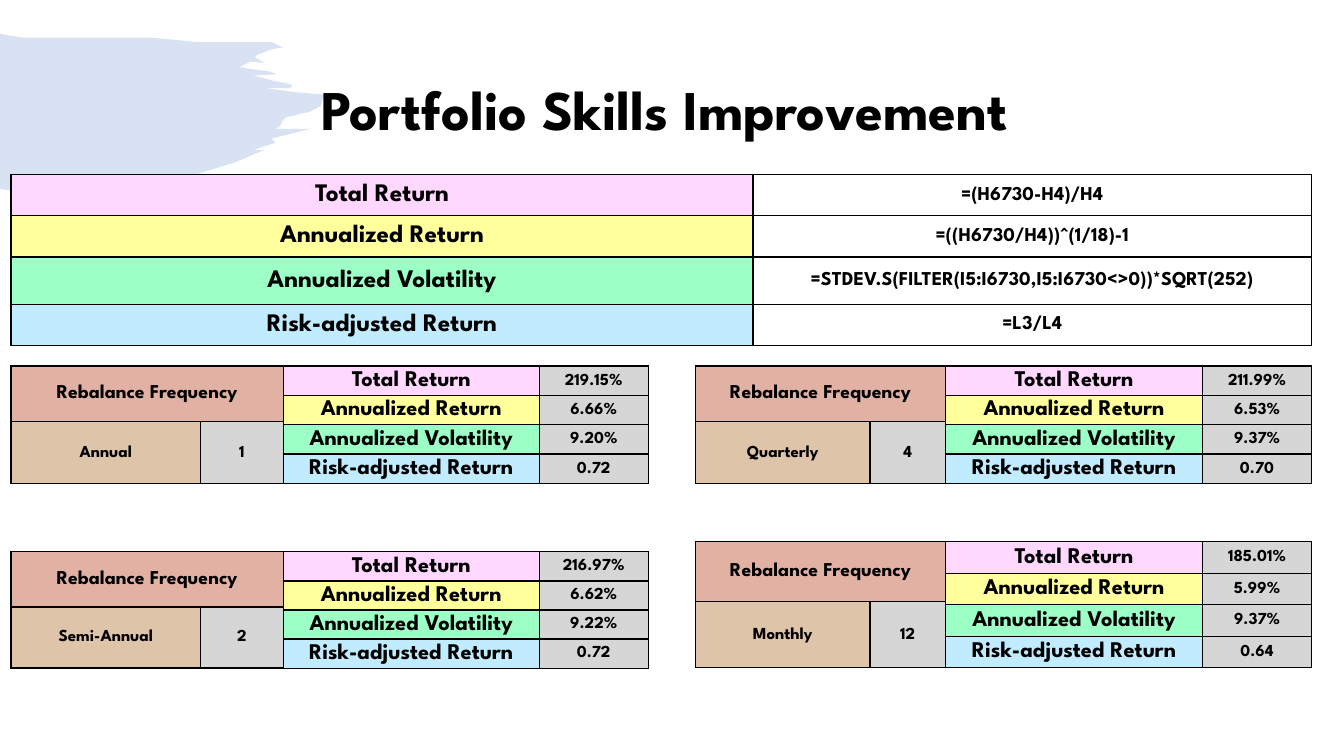
from lxml.etree import SubElement
from pptx import Presentation
from pptx.dml.color import RGBColor
from pptx.enum.text import MSO_ANCHOR, PP_ALIGN
from pptx.oxml import parse_xml
from pptx.oxml.ns import nsdecls, qn
from pptx.util import Pt

FONT = "League Spartan"
BLACK = RGBColor(0x00, 0x00, 0x00)
BLUE = RGBColor(0x44, 0x72, 0xC4)
PINK = RGBColor(0xFF, 0xD7, 0xFF)
YELLOW = RGBColor(0xFF, 0xFF, 0x9C)
GREEN = RGBColor(0x9C, 0xFF, 0xC5)
SKY = RGBColor(0xC1, 0xEC, 0xFF)
CLAY = RGBColor(0xE1, 0xB2, 0xA4)
SAND = RGBColor(0xDE, 0xC5, 0xAA)
GREY = RGBColor(0xD6, 0xD6, 0xD6)

METRICS = [
    ("Total Return", PINK),
    ("Annualized Return", YELLOW),
    ("Annualized Volatility", GREEN),
    ("Risk-adjusted Return", SKY),
]
FORMULAS = [
    "=(H6730-H4)/H4",
    "=((H6730/H4))^(1/18)-1",
    "=STDEV.S(FILTER(I5:I6730,I5:I6730<>0))*SQRT(252)",
    "=L3/L4",
]
LEFT_COLS = (7.9, 135.4, 59, 182.9, 77.8)
RIGHT_COLS = (496.8, 124.6, 54, 183.6, 77.8)
REBALANCES = [
    ("Annual", "1", LEFT_COLS, 261.4, 84, ["219.15%", "6.66%", "9.20%", "0.72"]),
    ("Semi-Annual", "2", LEFT_COLS, 394.2, 83, ["216.97%", "6.62%", "9.22%", "0.72"]),
    ("Quarterly", "4", RIGHT_COLS, 261.4, 84, ["211.99%", "6.53%", "9.37%", "0.70"]),
    ("Monthly", "12", RIGHT_COLS, 387, 90, ["185.01%", "5.99%", "9.37%", "0.64"]),
]
BRUSH = [
    (0, 24.5), (4.3, 25.2), (18, 26.6), (47.5, 27.4), (73.4, 26.6), (108.7, 27.4),
    (139.7, 29.5), (178.6, 29.5), (194, 30.5), (201.6, 33.8), (195.1, 35.3),
    (183.6, 38.9), (182.2, 41), (184.3, 42.5), (188.6, 44.6), (179, 44.5),
    (171.4, 47.5), (177.1, 49), (184.3, 50.4), (191.5, 51.1), (198, 53.3),
    (180.7, 54), (189.4, 56.2), (196.6, 58.3), (201.6, 59), (207.4, 59.8),
    (208.8, 61.2), (206.6, 63.4), (204.5, 63.4), (189.4, 63.4), (212, 66.5),
    (237.6, 67.7), (231.1, 69.8), (229, 76.3), (221, 79.9), (216, 81.4),
    (203.8, 83.5), (201.6, 86.4), (200.2, 90), (197.3, 92.2), (221.8, 92.2),
    (193.7, 99.4), (196.6, 102.2), (181.4, 106.6), (189.4, 106.6), (168, 115.5),
    (141.8, 123.8), (73.4, 135.4), (46.8, 137.5), (16.6, 136.8), (0, 135.4),
]


def style_text(tf, size):
    """Centre the paragraph and set its bold black font."""
    p = tf.paragraphs[0]
    p.alignment = PP_ALIGN.CENTER
    for r in p.runs:
        r.font.name = FONT
        r.font.size = Pt(size)
        r.font.bold = True
        r.font.color.rgb = BLACK


def add_borders(cell):
    """Draw a one-point black line on each side of a cell."""
    tc_pr = cell._tc.get_or_add_tcPr()
    for i, side in enumerate("LRTB"):
        tc_pr.insert(i, parse_xml(
            f'<a:ln{side} {nsdecls("a")} w="{Pt(1)}"><a:solidFill>'
            f'<a:srgbClr val="{BLACK}"/></a:solidFill></a:ln{side}>'))


def fill_cell(cell, text, size, color):
    """Set the text, fill, margins and borders of a cell."""
    cell.text_frame.text = text
    style_text(cell.text_frame, size)
    cell.vertical_anchor = MSO_ANCHOR.MIDDLE
    cell.margin_left = cell.margin_right = cell.margin_top = Pt(0.5)
    cell.margin_bottom = 0
    if color is None:
        cell.fill.background()
    else:
        cell.fill.solid()
        cell.fill.fore_color.rgb = color
    add_borders(cell)


def add_grid(s, left, top, cols, rows, cells):
    """Add a table from rows of (text, size, colour) cells."""
    frame = s.shapes.add_table(len(rows), len(cols), Pt(left), Pt(top),
                               Pt(sum(cols)), Pt(sum(rows)))
    table = frame.table
    table.first_row = table.horz_banding = False
    for column, width in zip(table.columns, cols):
        column.width = Pt(width)
    for row, height, contents in zip(table.rows, rows, cells):
        row.height = Pt(height)
        for cell, content in zip(row.cells, contents):
            fill_cell(cell, *content)
    return table


def add_brush(s):
    """Add the pale brush stroke behind everything else."""
    builder = s.shapes.build_freeform(*BRUSH[0], scale=Pt(1))
    builder.add_line_segments(BRUSH[1:], close=True)
    sp = builder.convert_to_shape()
    sp.shadow.inherit = False
    sp.line.fill.background()
    sp.fill.solid()
    sp.fill.fore_color.rgb = BLUE
    color = sp._element.spPr.find(qn("a:solidFill"))[0]
    SubElement(color, qn("a:alpha")).set("val", "20000")
    s.shapes._spTree.insert(2, sp._element)


def add_title(s, text):
    """Place and format the slide title."""
    title = s.shapes.title
    title.left, title.top = Pt(66), Pt(28)
    title.width, title.height = Pt(828), Pt(104.4)
    tf = title.text_frame
    tf.text = text
    tf.vertical_anchor = MSO_ANCHOR.MIDDLE
    tf.paragraphs[0].line_spacing = 0.9
    style_text(tf, 40)


def add_rebalance(s, name, count, widths, top, height, values):
    """Add a frequency table and the metrics table at its right."""
    left, *cols = widths
    freq_rows = (height * 0.475, height * 0.525)
    table = add_grid(s, left, top, cols[:2], freq_rows, [
        [("Rebalance Frequency", 14, CLAY), ("", 14, CLAY)],
        [(name, 12, SAND), (count, 12, GREY)],
    ])
    table.cell(0, 0).merge(table.cell(0, 1))
    add_grid(s, left + sum(cols[:2]), top, cols[2:], [height / 4] * 4,
             [[(metric, 16, color), (value, 12, GREY)]
              for (metric, color), value in zip(METRICS, values)])


def main():
    """Build the slide and save it."""
    prs = Presentation()
    prs.slide_width, prs.slide_height = Pt(960), Pt(540)
    s = prs.slides.add_slide(prs.slide_layouts[5])
    add_brush(s)
    add_title(s, "Portfolio Skills Improvement ")
    add_grid(s, 7.9, 124.6, (530, 399), (29.5, 29.5, 33.8, 29.5),
             [[(metric, 18, color), (formula, 14, None)]
              for (metric, color), formula in zip(METRICS, FORMULAS)])
    for rebalance in REBALANCES:
        add_rebalance(s, *rebalance)
    prs.save("out.pptx")


if __name__ == "__main__":
    main()
